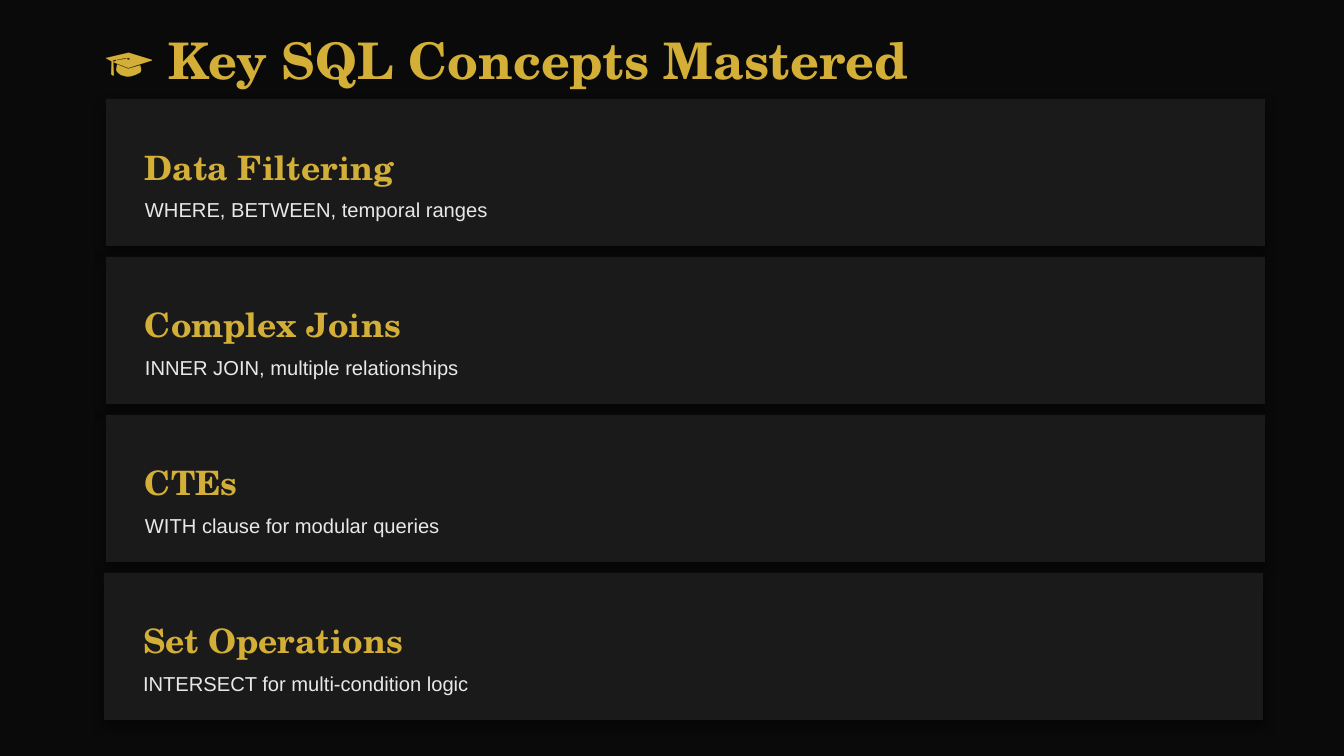
from dataclasses import dataclass

from lxml.etree import SubElement
from pptx import Presentation
from pptx.dml.color import RGBColor
from pptx.enum.shapes import MSO_SHAPE as Shape
from pptx.enum.text import MSO_ANCHOR as Anchor
from pptx.oxml.ns import qn
from pptx.slide import Slide
from pptx.util import Emu, Pt

SLIDE_WIDTH, SLIDE_HEIGHT = 1344, 756
EMU_PER_PX = 9144000 / SLIDE_WIDTH

COLORS = {
    "background": "0A0A0A",
    "card": "1A1A1A",
    "gold": "D4AF37",
    "light": "E8E8E8",
    "shadow": "000000",
}
SERIF, SANS = "TeX Gyre Schola", "Arial"

CARD_TOP, CARD_PITCH = 99, 158
CARD_WIDTH, CARD_HEIGHT = 1159, 147
TEXT_INDENT, TEXT_WIDTH = 39, 1107


@dataclass(frozen=True)
class Concept:
    heading: str
    detail: str
    left: int = 106


CONCEPTS = [
    Concept("Data Filtering", "WHERE, BETWEEN, temporal ranges"),
    Concept("Complex Joins", "INNER JOIN, multiple relationships"),
    Concept("CTEs", "WITH clause for modular queries"),
    Concept("Set Operations", "INTERSECT for multi-condition logic", left=104),
]


def px(length: int) -> Emu:
    return Emu(round(length * EMU_PER_PX))


def color(name: str) -> RGBColor:
    return RGBColor.from_string(COLORS[name])


def add_text(slide: Slide, text: str, *, left: int, top: int, width: int, height: int,
             size: float, leading: float, font: str, ink: str, bold: bool = False) -> None:
    box = slide.shapes.add_textbox(px(left), px(top), px(width), px(height))
    frame = box.text_frame
    frame.word_wrap = True
    frame.vertical_anchor = Anchor.TOP
    frame.margin_left = frame.margin_right = frame.margin_top = frame.margin_bottom = 0
    paragraph = frame.paragraphs[0]
    paragraph.line_spacing = Pt(leading)
    run = paragraph.add_run()
    run.text = text
    run.font.name = font
    run.font.size = Pt(size)
    run.font.bold = bold
    run.font.color.rgb = color(ink)


def add_card(slide: Slide, left: int, top: int) -> None:
    card = slide.shapes.add_shape(Shape.RECTANGLE, px(left), px(top),
                                  px(CARD_WIDTH), px(CARD_HEIGHT))
    card.fill.solid()
    card.fill.fore_color.rgb = color("card")
    card.line.fill.background()
    card.shadow.inherit = False
    effects = card._element.spPr.find(qn("a:effectLst"))
    shadow = SubElement(effects, qn("a:outerShdw"), blurRad=str(Pt(6)), dist=str(Pt(3)),
                        dir="5400000", algn="ctr", rotWithShape="0")
    tint = SubElement(shadow, qn("a:srgbClr"), val=COLORS["shadow"])
    SubElement(tint, qn("a:alpha"), val="50000")


def add_concept(slide: Slide, concept: Concept, top: int) -> None:
    text_left = concept.left + TEXT_INDENT
    add_text(slide, concept.heading, left=text_left, top=top + 34, width=TEXT_WIDTH, height=40,
             size=18, leading=28.8, font=SERIF, ink="gold", bold=True)
    add_text(slide, concept.detail, left=text_left, top=top + 85, width=TEXT_WIDTH, height=28,
             size=10.8, leading=20.2, font=SANS, ink="light")


def main() -> None:
    deck = Presentation()
    deck.slide_width, deck.slide_height = px(SLIDE_WIDTH), px(SLIDE_HEIGHT)
    slide = deck.slides.add_slide(deck.slide_layouts[6])
    slide.background.fill.solid()
    slide.background.fill.fore_color.rgb = color("background")

    tops = [CARD_TOP + row * CARD_PITCH for row in range(len(CONCEPTS))]
    for concept, top in zip(CONCEPTS, tops):
        add_card(slide, concept.left, top)
    add_text(slide, "🎓 Key SQL Concepts Mastered", left=104, top=9, width=1183, height=60,
             size=27, leading=43.2, font=SERIF, ink="gold", bold=True)
    for concept, top in zip(CONCEPTS, tops):
        add_concept(slide, concept, top)

    deck.save("out.pptx")


if __name__ == "__main__":
    main()
